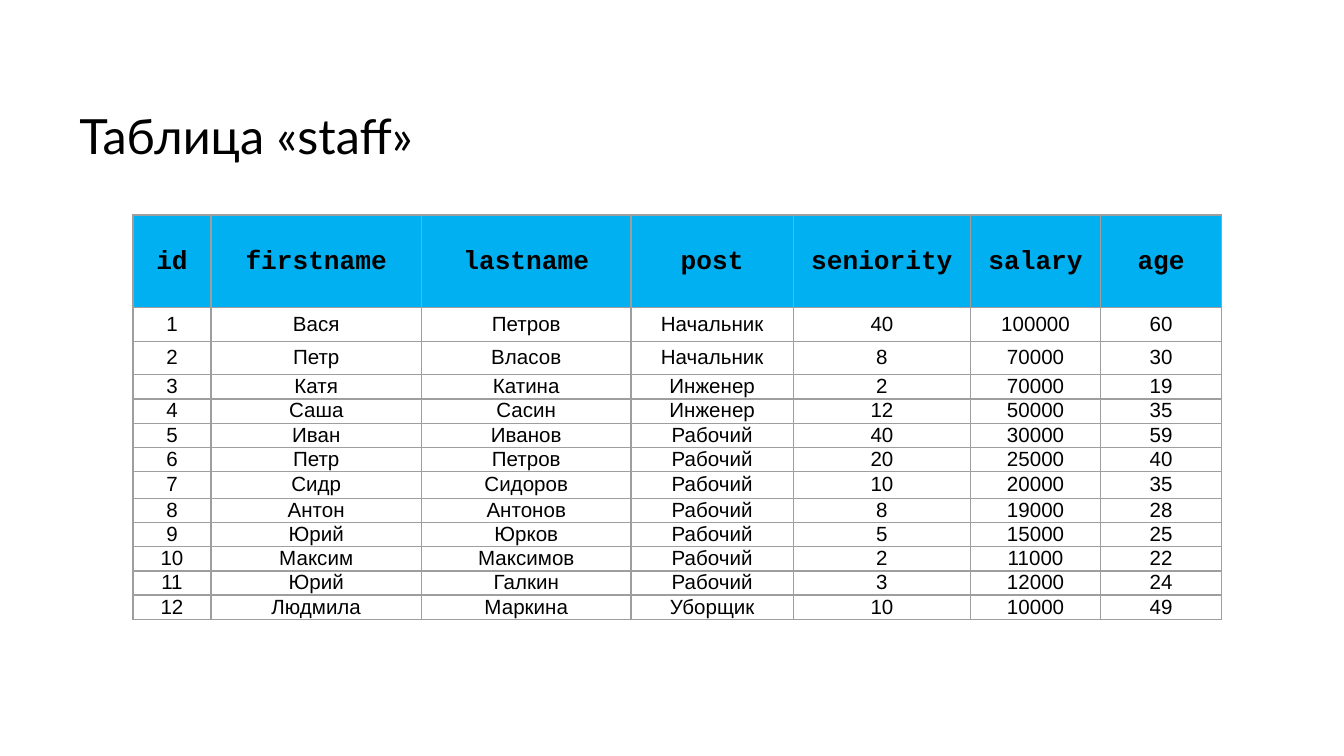
from dataclasses import dataclass

from lxml import etree
from pptx import Presentation
from pptx.dml.color import RGBColor
from pptx.enum.text import MSO_ANCHOR, PP_ALIGN
from pptx.oxml.ns import qn
from pptx.util import Inches, Pt

MIDDLE, TOP = MSO_ANCHOR.MIDDLE, MSO_ANCHOR.TOP
CENTER, LEFT = PP_ALIGN.CENTER, PP_ALIGN.LEFT


@dataclass(frozen=True)
class Theme:
    ink: str = "000000"
    head: str = "00B0F0"
    rule: str = "9E9E9E"
    rule_pt: float = 0.75
    title: tuple = ("Lato", 26, False)
    label: tuple = ("Courier New", 14, True)
    body: tuple = ("Arial", 11, False)
    tight: float = 0.9


THEME = Theme()
WIDTH = 10
HEIGHT = WIDTH * 9 / 16

FIELDS = ("id", "firstname", "lastname", "post", "seniority", "salary", "age")
STAFF = (
    ("Вася", "Петров", "Начальник", 40, 100000, 60),
    ("Петр", "Власов", "Начальник", 8, 70000, 30),
    ("Катя", "Катина", "Инженер", 2, 70000, 19),
    ("Саша", "Сасин", "Инженер", 12, 50000, 35),
    ("Иван", "Иванов", "Рабочий", 40, 30000, 59),
    ("Петр", "Петров", "Рабочий", 20, 25000, 40),
    ("Сидр", "Сидоров", "Рабочий", 10, 20000, 35),
    ("Антон", "Антонов", "Рабочий", 8, 19000, 28),
    ("Юрий", "Юрков", "Рабочий", 5, 15000, 25),
    ("Максим", "Максимов", "Рабочий", 2, 11000, 22),
    ("Юрий", "Галкин", "Рабочий", 3, 12000, 24),
    ("Людмила", "Маркина", "Уборщик", 10, 10000, 49),
)
COLS = (0.58, 1.57, 1.56, 1.21, 1.32, 0.97, 0.9)
ROWS = (0.69, 0.25, 0.25, *[0.18] * 4, 0.2, *[0.18] * 5)


def write(frame, text, style, align):
    frame.text = text
    para = frame.paragraphs[0]
    para.alignment = align
    font = para.runs[0].font
    font.name, size, font.bold = style
    font.size = Pt(size)
    font.color.rgb = RGBColor.from_string(THEME.ink)


def rule_cell(cell):
    """Draw the four borders, which must come before the fill in the XML."""
    props = cell._tc.get_or_add_tcPr()
    for at, side in enumerate(("a:lnL", "a:lnR", "a:lnT", "a:lnB")):
        line = etree.Element(qn(side), w=str(Pt(THEME.rule_pt)))
        fill = etree.SubElement(line, qn("a:solidFill"))
        etree.SubElement(fill, qn("a:srgbClr"), val=THEME.rule)
        props.insert(at, line)


def add_title(slide, box, text):
    frame = slide.shapes.add_textbox(*map(Inches, box)).text_frame
    frame.word_wrap = True
    frame.vertical_anchor = TOP
    frame.margin_left = frame.margin_right = 0
    frame.margin_top = frame.margin_bottom = 0
    write(frame, text, THEME.title, LEFT)


def fill_cell(cell, text, is_head):
    cell.vertical_anchor = MIDDLE
    cell.margin_left = cell.margin_right = cell.margin_top = Inches(0.01)
    cell.margin_bottom = 0
    if is_head:
        cell.fill.solid()
        cell.fill.fore_color.rgb = RGBColor.from_string(THEME.head)
    else:
        cell.fill.background()
    rule_cell(cell)
    write(cell.text_frame, text, THEME.label if is_head else THEME.body, CENTER)
    if not is_head:
        cell.text_frame.paragraphs[0].line_spacing = THEME.tight


def add_staff(slide, box):
    """Share the box among the columns and rows by their weights."""
    data = [FIELDS] + [(num, *row) for num, row in enumerate(STAFF, 1)]
    table = slide.shapes.add_table(len(data), len(FIELDS), *map(Inches, box)).table
    table.horz_banding = False
    for col, part in zip(table.columns, COLS):
        col.width = Inches(box[2] * part / sum(COLS))
    for row, part in zip(table.rows, ROWS):
        row.height = Inches(box[3] * part / sum(ROWS))
    for r, row in enumerate(data):
        for c, value in enumerate(row):
            fill_cell(table.cell(r, c), str(value), r == 0)


def main():
    deck = Presentation()
    deck.slide_width, deck.slide_height = Inches(WIDTH), Inches(HEIGHT)
    slide = deck.slides.add_slide(deck.slide_layouts[6])
    add_title(slide, (0.59, 0.79, 6.82, 0.55), "Таблица «staff»")
    add_staff(slide, (0.99, 1.6, 8.1, 3.01))
    deck.save("out.pptx")


if __name__ == "__main__":
    main()
